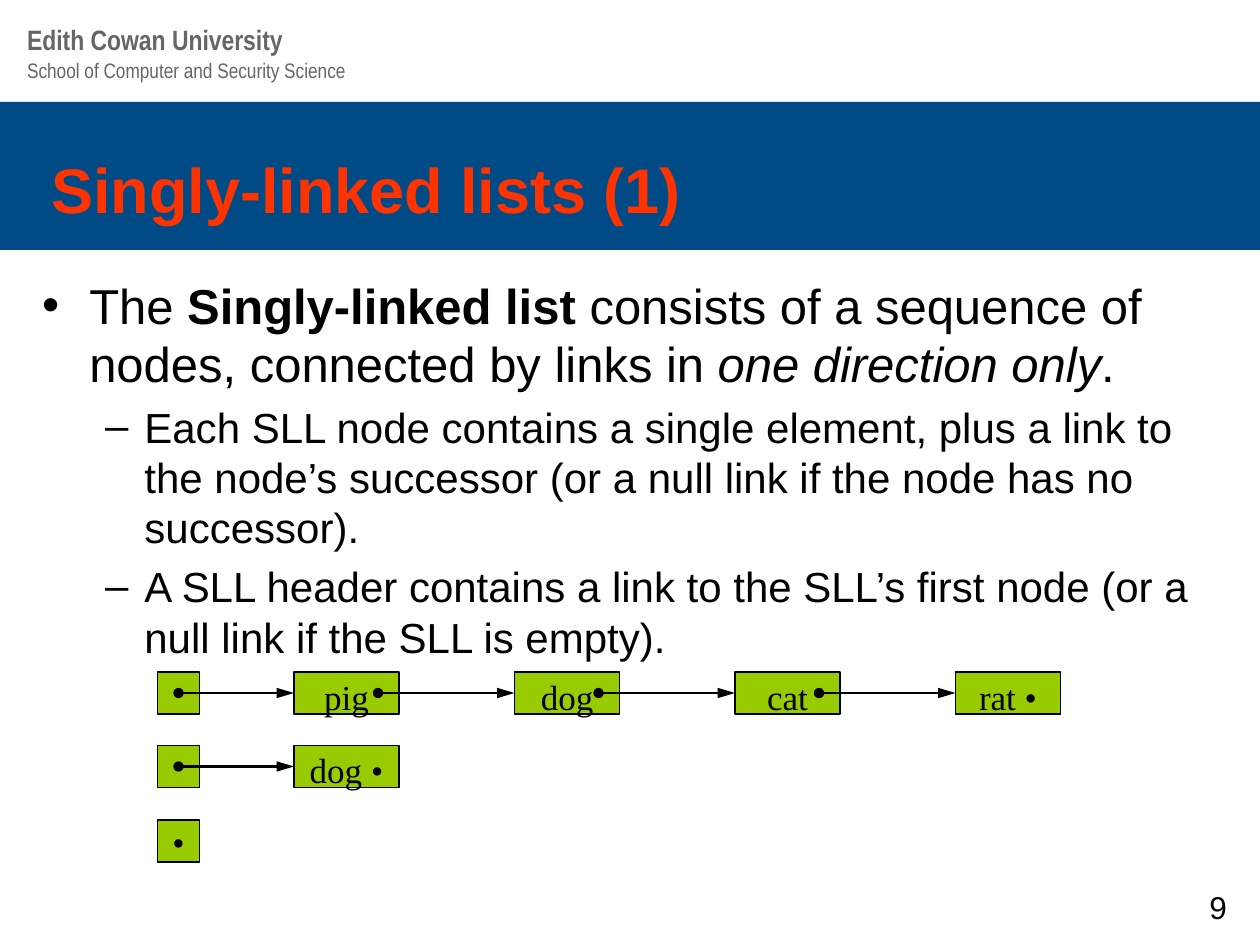
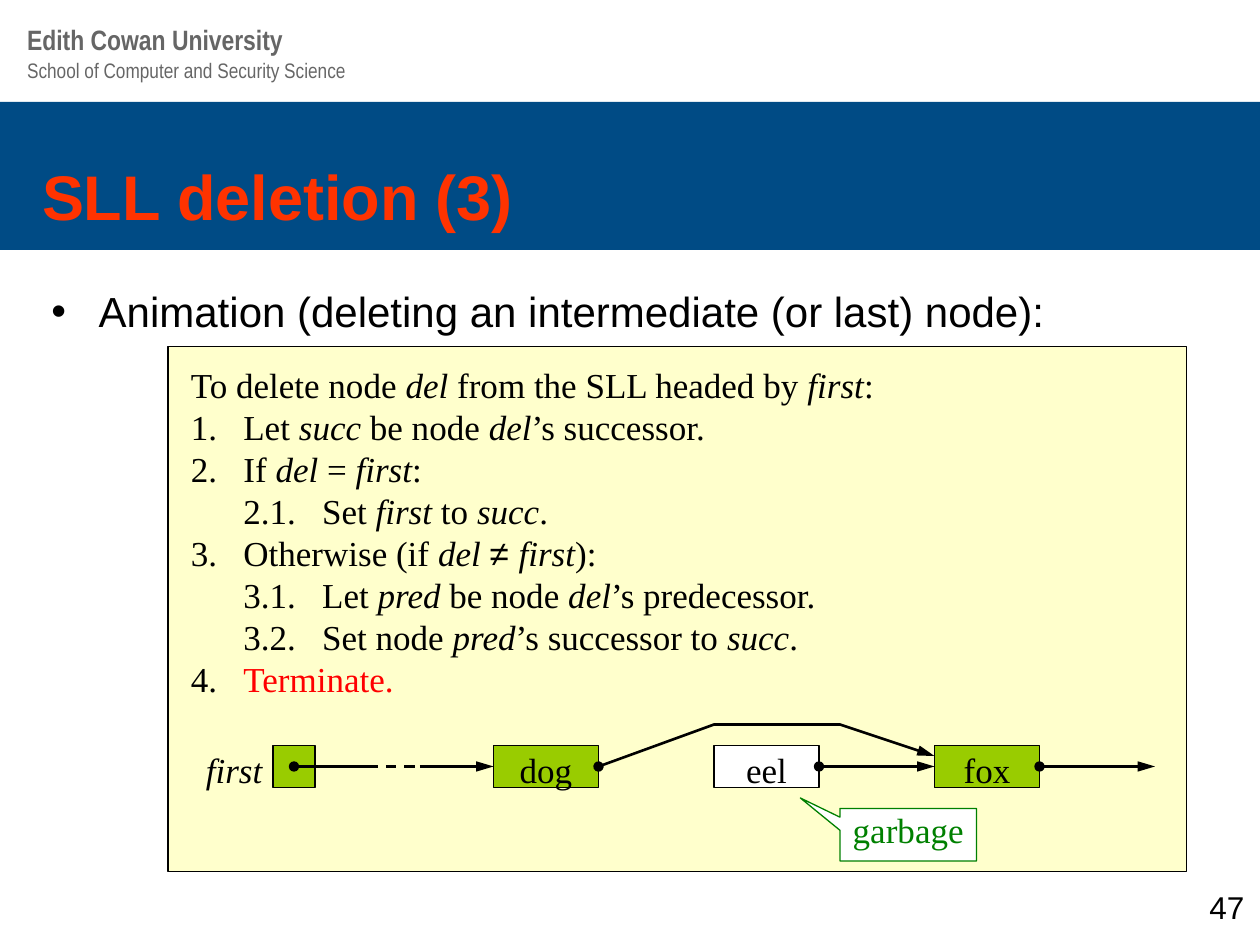
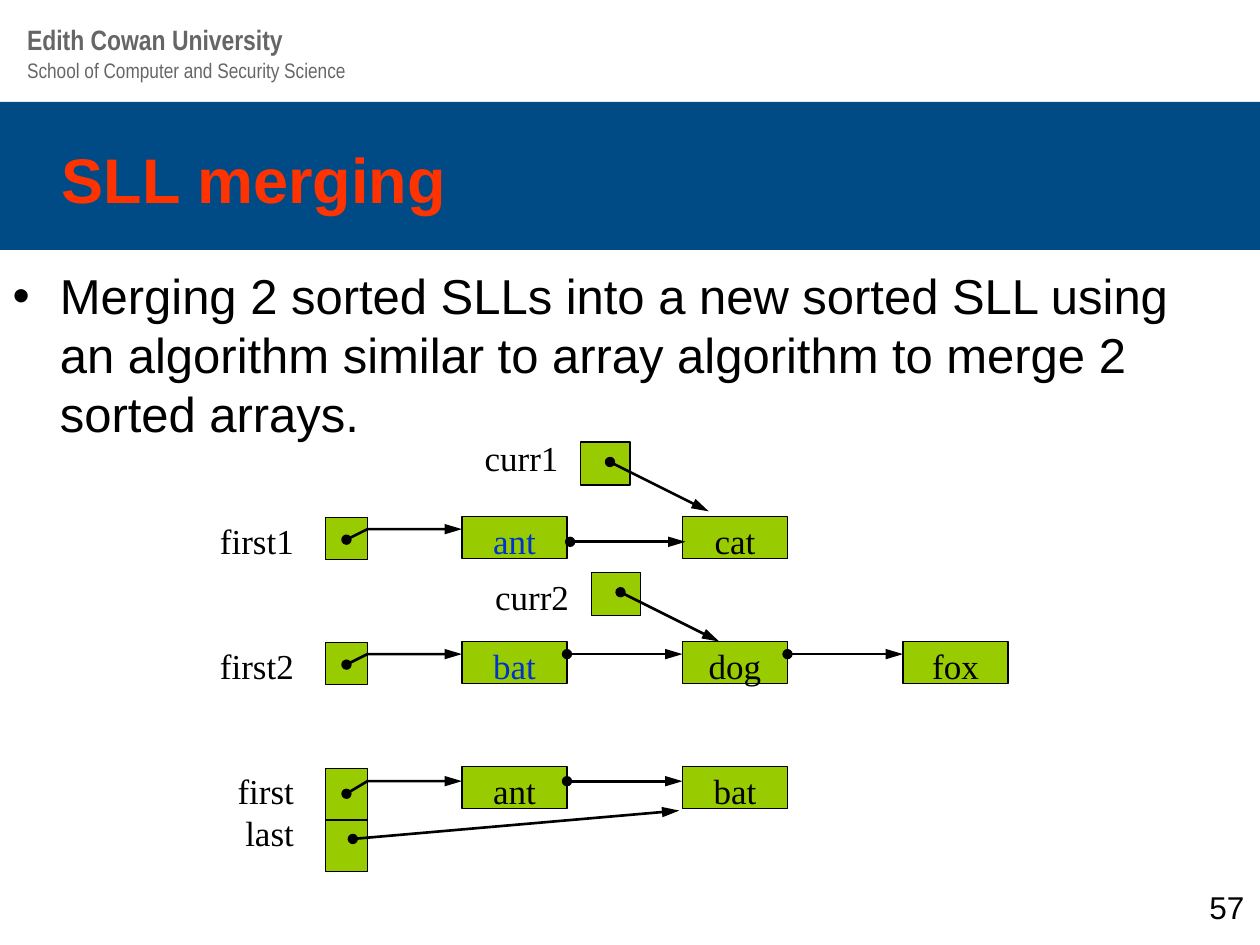
from dataclasses import dataclass
from typing import NamedTuple

from lxml.etree import SubElement
from pptx import Presentation
from pptx.dml.color import RGBColor
from pptx.enum.dml import MSO_LINE
from pptx.enum.shapes import MSO_CONNECTOR, MSO_SHAPE
from pptx.enum.text import MSO_ANCHOR, MSO_AUTO_SIZE, PP_ALIGN
from pptx.oxml.ns import qn
from pptx.util import Emu, Pt

EMU_PER_PX = 7620
NODE_WIDTH = 100
NODE_STEP = 210
CELL = 40
LINK_LENGTH = 110
MARKS = {"*": "italic", "#": "bold", "~": "alert", "^": "symbol"}


@dataclass(frozen=True)
class Theme:
    band: str = "004B85"
    title: str = "FF3300"
    header: str = "666666"
    ink: str = "000000"
    node: str = "99CC00"
    panel: str = "FFFFCC"
    white: str = "FFFFFF"
    alert: str = "FF0000"
    garbage: str = "008000"
    current: str = "0033CC"
    faded: str = "C0C0C0"
    sans: str = "Arial"
    narrow: str = "Arial Narrow"
    serif: str = "Times New Roman"
    title_size: int = 36
    body_size: int = 28
    detail_size: int = 24
    diagram_size: int = 20
    number_size: int = 18
    university_size: int = 16
    school_size: int = 12
    outline: float = 0.75
    link: float = 1.5


THEME = Theme()


class Box(NamedTuple):
    left: int
    top: int
    width: int
    height: int


class Point(NamedTuple):
    x: int
    y: int


class Bullet(NamedTuple):
    text: str
    size: int
    level: int = 0


class MergeRow(NamedTuple):
    top: int
    label: str
    label_box: Box
    nodes: tuple
    link_y: int
    bend: int
    low_dot_y: int
    low_dot_color: str
    end_dot_color: str
    header_cells: tuple


def px(length: int) -> Emu:
    return Emu(length * EMU_PER_PX)


def place(shape, box: Box) -> None:
    shape.left, shape.top, shape.width, shape.height = map(px, box)


def marked_runs(text: str) -> list:
    active = frozenset()
    runs = [("", active)]
    for character in text:
        if character in MARKS:
            active ^= {MARKS[character]}
            runs.append(("", active))
        else:
            runs[-1] = (runs[-1][0] + character, active)
    return [run for run in runs if run[0]]


def write(paragraph, text: str, *, size: int, font: str = THEME.sans,
          color: str = THEME.ink, bold: bool = False, italic: bool = False,
          align=PP_ALIGN.LEFT) -> None:
    paragraph.alignment = align
    for piece, marks in marked_runs(text):
        run = paragraph.add_run()
        run.text = piece
        run.font.size = Pt(size)
        run.font.name = THEME.sans if "symbol" in marks else font
        run.font.bold = bold or "bold" in marks
        run.font.italic = italic or "italic" in marks
        run.font.color.rgb = RGBColor.from_string(THEME.alert if "alert" in marks else color)


def set_frame(shape, *, insets: tuple = (12, 6, 12, 6), anchor=MSO_ANCHOR.TOP):
    frame = shape.text_frame
    frame.word_wrap = True
    frame.auto_size = MSO_AUTO_SIZE.NONE
    frame.vertical_anchor = anchor
    (frame.margin_left, frame.margin_top,
     frame.margin_right, frame.margin_bottom) = map(px, insets)
    return frame


def add_text(slide, box: Box, text: str, *, insets: tuple = (12, 6, 12, 6), **style):
    shape = slide.shapes.add_textbox(*map(px, box))
    write(set_frame(shape, insets=insets).paragraphs[0], text, **style)
    return shape


def add_label(slide, box: Box, text: str, italic: bool = False) -> None:
    add_text(slide, box, text, insets=(0, 3, 0, 0), size=THEME.diagram_size,
             font=THEME.serif, italic=italic, align=PP_ALIGN.RIGHT)


def add_block(slide, box: Box, *, fill: str = THEME.node, line: str | None = THEME.ink,
              kind=MSO_SHAPE.RECTANGLE):
    shape = slide.shapes.add_shape(kind, *map(px, box))
    shape.shadow.inherit = False
    shape.fill.solid()
    shape.fill.fore_color.rgb = RGBColor.from_string(fill)
    if line is None:
        shape.line.fill.background()
    else:
        shape.line.color.rgb = RGBColor.from_string(line)
        shape.line.width = Pt(THEME.outline)
    return shape


def add_cell(slide, left: int, top: int):
    return add_block(slide, Box(left, top, CELL, CELL))


def add_node(slide, left: int, top: int, text: str, *, fill: str = THEME.node,
             color: str = THEME.ink):
    node = add_block(slide, Box(left, top, NODE_WIDTH, CELL), fill=fill)
    frame = set_frame(node, insets=(0, 3, 0, 0))
    write(frame.paragraphs[0], text, size=THEME.diagram_size, font=THEME.serif,
          color=color, align=PP_ALIGN.CENTER)
    return node


def style_link(shape, *, color: str = THEME.ink, head: bool = True, tail: bool = True) -> None:
    shape.line.color.rgb = RGBColor.from_string(color)
    shape.line.width = Pt(THEME.link)
    line = shape.line._get_or_add_ln()
    if head:
        SubElement(line, qn("a:headEnd"), type="oval", w="med", len="med")
    if tail:
        SubElement(line, qn("a:tailEnd"), type="triangle", w="med", len="lg")


def add_link(slide, start: Point, end: Point, *, target=None, dashed: bool = False, **ends):
    link = slide.shapes.add_connector(MSO_CONNECTOR.STRAIGHT, *map(px, (*start, *end)))
    if target is not None:
        link.end_connect(target, 1)
    if dashed:
        link.line.dash_style = MSO_LINE.DASH
    style_link(link, **ends)
    SubElement(link.element.spPr, qn("a:effectLst"))
    return link


def add_level_link(slide, x: int, y: int, target=None):
    return add_link(slide, Point(x, y), Point(x + LINK_LENGTH, y), target=target)


def add_dot(slide, x: int, y: int, color: str = THEME.ink) -> None:
    add_link(slide, Point(x, y), Point(x, y), color=color, tail=False)


def add_bent_link(slide, points: tuple) -> None:
    builder = slide.shapes.build_freeform(*points[0], scale=EMU_PER_PX)
    builder.add_line_segments(points[1:], close=False)
    path = builder.convert_to_shape()
    path.shadow.inherit = False
    path.fill.background()
    style_link(path)


def build_layout_header(presentation, layout) -> None:
    slide = presentation.slides[0]
    parts = (
        add_block(slide, Box(0, 97, 1200, 141), fill=THEME.band, line=None),
        add_text(slide, Box(14, 49, 707, 36), "School of Computer and Security Science",
                 size=THEME.school_size, font=THEME.narrow, color=THEME.header),
        add_text(slide, Box(14, 16, 707, 44), "Edith Cowan University",
                 size=THEME.university_size, font=THEME.narrow, color=THEME.header, bold=True),
    )
    for number, part in enumerate(parts, start=101):
        part.element.nvSpPr.cNvPr.set("id", str(number))
        layout.shapes.element.append(part.element)


def add_page(presentation, layout, title: str, title_box: Box, body_box: Box,
             bullets: tuple, number: str):
    slide = presentation.slides.add_slide(layout)
    heading, body = slide.shapes.title, slide.placeholders[1]
    place(heading, title_box)
    write(set_frame(heading, anchor=MSO_ANCHOR.BOTTOM).paragraphs[0], title,
          size=THEME.title_size, color=THEME.title, bold=True)
    place(body, body_box)
    frame = set_frame(body, insets=(12, 9, 12, 6))
    for index, bullet in enumerate(bullets):
        paragraph = frame.add_paragraph() if index else frame.paragraphs[0]
        paragraph.level = bullet.level
        if index == 0:
            paragraph.space_before = Pt(0)
        write(paragraph, bullet.text, size=bullet.size)
    add_text(slide, Box(1140, 840, 60, 40), number, size=THEME.number_size)
    return slide


def build_singly_linked(presentation, layout) -> None:
    slide = add_page(
        presentation, layout, "Singly-linked lists (1)",
        Box(37, 131, 1020, 90), Box(28, 253, 1130, 384),
        (Bullet("The #Singly-linked list# consists of a sequence of nodes, connected by "
                "links in *one direction only*.", THEME.body_size),
         Bullet("Each SLL node contains a single element, plus a link to the node’s successor "
                "(or a null link if the node has no successor).", THEME.detail_size, 1),
         Bullet("A SLL header contains a link to the SLL’s first node (or a null link if the "
                "SLL is empty).", THEME.detail_size, 1)),
        "9")
    first_left = 280
    for top, names in ((640, ("pig", "dog", "cat", "rat •")), (710, ("dog •",))):
        middle = top + CELL // 2
        add_cell(slide, 150, top)
        link_x = 170
        for index, name in enumerate(names):
            left = first_left + index * NODE_STEP
            node = add_node(slide, left, top, name)
            add_level_link(slide, link_x, middle, node)
            link_x = left + NODE_WIDTH - 20
        add_dot(slide, link_x, middle)
    empty_header = add_cell(slide, 150, 781)
    frame = set_frame(empty_header, insets=(0, 0, 0, 0), anchor=MSO_ANCHOR.MIDDLE)
    write(frame.paragraphs[0], "•", size=THEME.diagram_size, font=THEME.serif,
          align=PP_ALIGN.CENTER)
    add_dot(slide, 170, 801)


def add_algorithm(slide, box: Box, steps: tuple) -> None:
    frame = set_frame(slide.shapes.add_textbox(*map(px, box)))
    for index, step in enumerate(steps):
        paragraph = frame.add_paragraph() if index else frame.paragraphs[0]
        tabs = SubElement(paragraph._p.get_or_add_pPr(), qn("a:tabLst"))
        for position in (50, 125):
            SubElement(tabs, qn("a:tab"), pos=str(px(position)), algn="l")
        paragraph.line_spacing = Pt(24)
        write(paragraph, step, size=THEME.diagram_size, font=THEME.serif)


def build_deletion(presentation, layout) -> None:
    slide = add_page(
        presentation, layout, "SLL deletion (3)",
        Box(28, 148, 580, 80), Box(37, 263, 1043, 58),
        (Bullet("Animation (deleting an intermediate (or last) node):", THEME.detail_size),),
        "47")
    add_block(slide, Box(160, 330, 970, 500), fill=THEME.panel)
    add_algorithm(slide, Box(170, 340, 820, 332), (
        "To delete node *del* from the SLL headed by *first*:",
        "1.\tLet *succ* be node *del*’s successor.",
        "2.\tIf *del* = *first*:",
        "\t2.1.\tSet *first* to *succ*.",
        "3.\tOtherwise (if *del *^≠ ^*first*):",
        "\t3.1.\tLet *pred* be node *del*’s predecessor.",
        "\t3.2.\tSet node *pred*’s successor to *succ*.",
        "4.\t~Terminate.~"))
    top, middle = 710, 730
    add_label(slide, Box(170, top, 80, CELL), "first", italic=True)
    add_cell(slide, 260, top)
    predecessor, deleted, successor = (
        add_node(slide, 470 + index * NODE_STEP, top, name, fill=fill)
        for index, (name, fill) in enumerate(
            (("dog", THEME.node), ("eel", THEME.white), ("fox", THEME.node))))
    add_link(slide, Point(280, middle), Point(350, middle), tail=False)
    add_link(slide, Point(350, middle), Point(400, middle), dashed=True, head=False, tail=False)
    add_link(slide, Point(400, middle), Point(470, middle), target=predecessor, head=False)
    add_level_link(slide, 780, middle, successor)
    add_level_link(slide, 990, middle)
    add_bent_link(slide, (Point(570, middle), Point(680, 690), Point(800, 690), Point(890, 720)))
    callout = add_block(slide, Box(800, 770, 130, 50), fill=THEME.white, line=THEME.garbage,
                        kind=MSO_SHAPE.RECTANGULAR_CALLOUT)
    callout.adjustments[0], callout.adjustments[1] = -0.79, -0.7
    write(set_frame(callout, insets=(5, 0, 5, 0)).paragraphs[0], "garbage",
          size=THEME.diagram_size, font=THEME.serif, color=THEME.garbage, align=PP_ALIGN.CENTER)


def add_merge_row(slide, row: MergeRow) -> None:
    for cell_box in row.header_cells:
        add_block(slide, cell_box)
    for index, (name, color) in enumerate(row.nodes):
        add_node(slide, 440 + index * NODE_STEP, row.top, name, color=color)
    add_label(slide, row.label_box, row.label)
    add_bent_link(slide, (Point(330, row.link_y + row.bend), Point(350, row.link_y),
                          Point(440, row.link_y)))
    add_dot(slide, 960, row.link_y, row.end_dot_color)
    add_dot(slide, 460, row.low_dot_y, row.low_dot_color)


def build_merging(presentation, layout) -> None:
    slide = add_page(
        presentation, layout, "SLL merging",
        Box(47, 122, 1060, 90), Box(0, 244, 1163, 169),
        (Bullet("Merging 2 sorted SLLs into a new sorted SLL using an algorithm similar to array "
                "algorithm to merge 2 sorted arrays.", THEME.body_size),),
        "57")
    ink, current, faded = THEME.ink, THEME.current, THEME.faded
    for row in (
        MergeRow(492, "first1", Box(140, 492, 140, 40), (("ant", current), ("cat", ink)),
                 504, 10, 523, ink, ink, (Box(310, 493, CELL, CELL),)),
        MergeRow(611, "first2", Box(140, 611, 140, 40),
                 (("bat", current), ("dog", ink), ("fox", ink)),
                 623, 10, 642, faded, ink, (Box(310, 612, CELL, CELL),)),
        MergeRow(730, "first last", Box(193, 730, 87, 80), (("ant", ink), ("bat", ink)),
                 744, 12, 768, ink, faded,
                 (Box(310, 732, CELL, 49), Box(310, 781, CELL, 49))),
    ):
        add_merge_row(slide, row)
    for x, y in ((543, 516), (540, 623), (750, 623), (540, 744)):
        add_level_link(slide, x, y)
    add_link(slide, Point(336, 799), Point(647, 772))
    for label, left, top, label_top in (("curr1", 553, 421, 413), ("curr2", 563, 545, 545)):
        add_block(slide, Box(left, top, 47, 41))
        add_link(slide, Point(left + 28, top + 19), Point(left + 122, top + 66))
        add_label(slide, Box(left - 161, label_top, 140, CELL), label)


def main() -> None:
    presentation = Presentation()
    presentation.slide_width, presentation.slide_height = px(1200), px(900)
    layout = presentation.slide_layouts[1]
    build_singly_linked(presentation, layout)
    build_layout_header(presentation, layout)
    build_deletion(presentation, layout)
    build_merging(presentation, layout)
    presentation.save("out.pptx")


if __name__ == "__main__":
    main()
